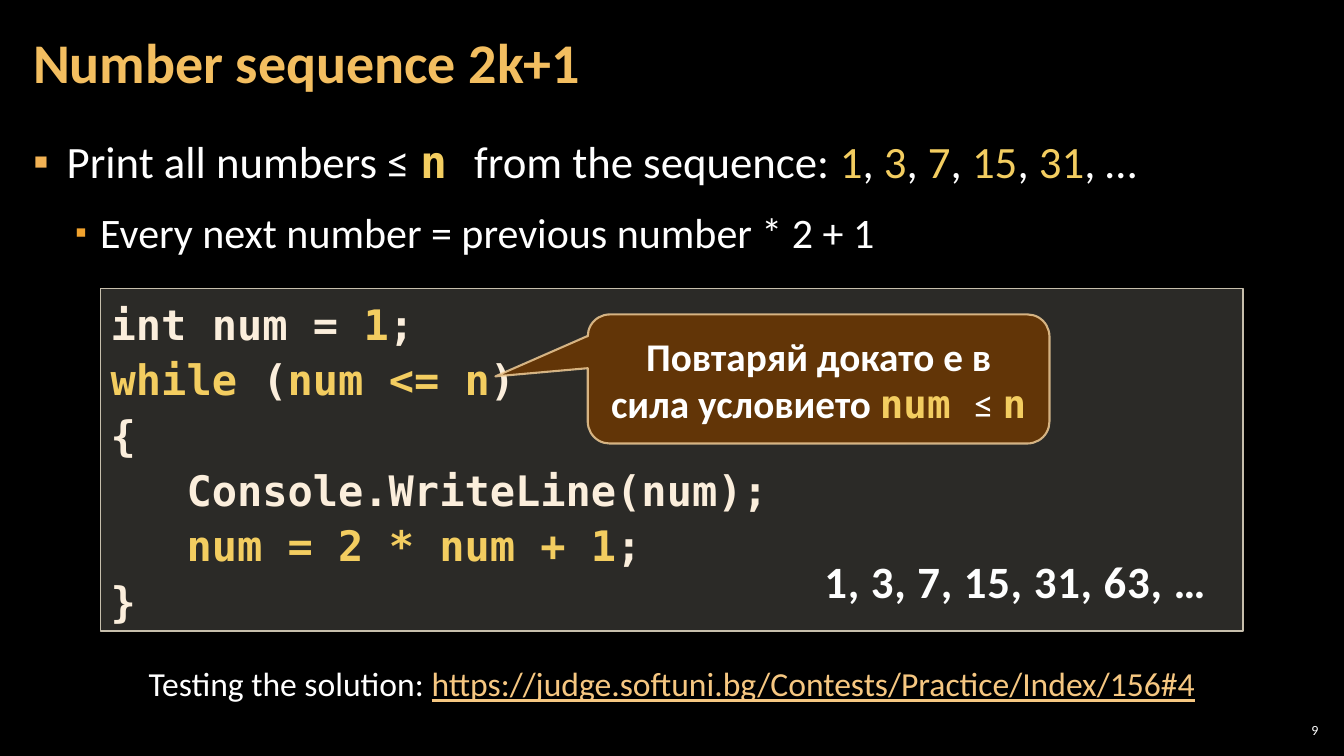
from lxml.etree import SubElement, Element
from pptx import Presentation
from pptx.dml.color import RGBColor
from pptx.enum.shapes import MSO_SHAPE
from pptx.enum.text import MSO_ANCHOR, MSO_AUTO_SIZE, PP_ALIGN
from pptx.oxml.ns import qn
from pptx.util import Pt

COLORS = {
    "black": "000000", "white": "FFFFFF", "gold": "F3CD60", "title": "F3BE60",
    "cream": "FBEEDC", "link": "F6C781", "bullet": "F2B254", "sub_bullet": "F0A22E",
    "code_fill": "D9D5C7", "code_line": "C7BFAC", "callout_fill": "663606",
    "callout_line": "F8D49E", "output": "FEFEFE", "outline": "F0A22E",
}
SANS, MONO = "Calibri", "DejaVu Sans Mono"
STYLES = {
    "text": dict(name=SANS, color="white", bold=False),
    "strong": dict(name=SANS, color="white", bold=True),
    "number": dict(name=SANS, color="gold", bold=False),
    "code": dict(name=MONO, color="cream", bold=True),
    "key": dict(name=MONO, color="gold", bold=True),
    "title": dict(name=SANS, color="title", bold=True),
    "link": dict(name=SANS, color="link", bold=False, underline=True),
    "output": dict(name=SANS, color="output", bold=True),
}

TITLE = [[("Number sequence 2k+1", "title")]]
SEQUENCE = ["1", "3", "7", "15", "31"]
TASK = [("Print all numbers ≤ ", "text"), ("n ", "key"), ("from the sequence: ", "text")]
for term in SEQUENCE:
    TASK += [(term, "number"), (", ", "text")]
TASK[-1] = (", …", "text")
RULE = [("Every next number = previous number * 2 + 1", "text")]
CODE = [
    [("int num = ", "code"), ("1", "key"), (";", "code")],
    [("while ", "key"), ("(", "code"), ("num <= n", "key"), (")", "code")],
    [("{", "code")],
    [("   Console.WriteLine(num);", "code")],
    [("   ", "code"), ("num = 2 * num + 1", "key"), (";", "code")],
    [("}", "code")],
]
CALLOUT = [[("Повтаряй докато е в сила условието ", "strong"), ("num ", "key"),
            ("≤ ", "text"), ("n", "key")]]
OUTPUT = [[("1, 3, 7, 15, 31, 63, …", "output")]]
TESTING = [[("Testing the solution: ", "text"),
            ("https://judge.softuni.bg/Contests/Practice/Index/156#4", "link")]]
NUMBER = [[("9", "text")]]

BOXES = {
    "title": (15.1, 2.9, 753.8, 87.1),
    "body": (15.1, 90.7, 929.5, 438.5),
    "code": (72, 205.9, 815.8, 244.8),
    "testing": (59.8, 470.2, 840.2, 36),
    "callout": (419.8, 224.6, 329.8, 92.2),
    "output": (581.8, 391.7, 290.2, 46.1),
    "number": (910.8, 514.1, 33.8, 15.1),
}
BULLETS = [
    dict(left=24, hang=24, color="bullet", size=100),
    dict(left=48, hang=18, color="sub_bullet", size=80),
]


def rgb(name):
    return RGBColor.from_string(COLORS[name])


def points(box):
    return [Pt(v) for v in BOXES[box]]


def place(sp, box):
    sp.left, sp.top, sp.width, sp.height = points(box)


def write(sp, lines, sizes, inset=(7.2, 3.6), anchor=MSO_ANCHOR.TOP, wrap=True, **para):
    tf = sp.text_frame
    frame = dict(auto_size=MSO_AUTO_SIZE.NONE, word_wrap=wrap, vertical_anchor=anchor,
                 margin_left=Pt(inset[0]), margin_right=Pt(inset[0]),
                 margin_top=Pt(inset[1]), margin_bottom=Pt(inset[1]))
    for key, value in frame.items():
        setattr(tf, key, value)
    for i, runs in enumerate(lines):
        p = tf.add_paragraph() if i else tf.paragraphs[0]
        for key, value in dict(dict(alignment=PP_ALIGN.LEFT), **para).items():
            setattr(p, key, value)
        for text, style in runs:
            r = p.add_run()
            r.text = text
            r.font.size = Pt(sizes[i % len(sizes)])
            for key, value in STYLES[style].items():
                if key == "color":
                    r.font.color.rgb = rgb(value)
                else:
                    setattr(r.font, key, value)


def solid(parent, color):
    fill = SubElement(parent, qn("a:solidFill"))
    return SubElement(fill, qn("a:srgbClr"), val=COLORS[color])


def set_alpha(color_format_parent, percent):
    clr = color_format_parent.find(qn("a:solidFill"))[0]
    SubElement(clr, qn("a:alpha"), val=str(percent * 1000))


def add_panel(kind, box, name, alpha, line_width):
    sp = slide.shapes.add_shape(kind, *points(box))
    sp.shadow.inherit = False
    sp.fill.solid()
    sp.fill.fore_color.rgb = rgb(name + "_fill")
    sp.line.color.rgb = rgb(name + "_line")
    sp.line.width = Pt(line_width)
    set_alpha(sp._element.spPr, alpha)
    return sp


def add_bullet(p, level):
    b = BULLETS[level]
    p.level = level
    pPr = p._p.get_or_add_pPr()
    pPr.set("marL", str(Pt(b["left"])))
    pPr.set("indent", str(-Pt(b["hang"])))
    clr = SubElement(pPr, qn("a:buClr"))
    SubElement(clr, qn("a:srgbClr"), val=COLORS[b["color"]])
    SubElement(pPr, qn("a:buSzPct"), val=str(b["size"] * 1000))
    SubElement(pPr, qn("a:buChar"), char="▪")


def decorate(r):
    rPr = r._r.get_or_add_rPr()
    rPr.set("spc", "50")
    ln = Element(qn("a:ln"), w=str(Pt(0.75)))
    solid(ln, "outline")
    rPr.insert(0, ln)
    effects = Element(qn("a:effectLst"))
    shadow = SubElement(effects, qn("a:outerShdw"), blurRad="0", dist=str(Pt(2)), dir="2700000")
    SubElement(shadow, qn("a:srgbClr"), val=COLORS["outline"])
    rPr.insert(2, effects)


prs = Presentation()
prs.slide_width, prs.slide_height = Pt(960), Pt(540)
slide = prs.slides.add_slide(prs.slide_layouts[1])
slide.background.fill.solid()
slide.background.fill.fore_color.rgb = rgb("black")

title, body = slide.placeholders
place(title, "title")
write(title, TITLE, [40], (8.5, 2.8), MSO_ANCHOR.MIDDLE, line_spacing=0.9)

place(body, "body")
write(body, [TASK, RULE], [32, 30], (8.5, 2.8), line_spacing=1.05,
      space_before=Pt(6), space_after=Pt(6))
for level, p in enumerate(body.text_frame.paragraphs):
    add_bullet(p, level)
body.text_frame.paragraphs[0].space_before = Pt(0)

code = add_panel(MSO_SHAPE.RECTANGLE, "code", "code", 20, 1)
write(code, CODE, [30], line_spacing=1.1)

testing = slide.shapes.add_textbox(*points("testing"))
write(testing, TESTING, [24], alignment=PP_ALIGN.CENTER)

callout = add_panel(MSO_SHAPE.ROUNDED_RECTANGULAR_CALLOUT, "callout", "callout", 95, 1.5)
for i, value in enumerate((-0.7, -0.02, 0.17)):
    callout.adjustments[i] = value
set_alpha(callout.line._get_or_add_ln(), 80)
write(callout, CALLOUT, [28], anchor=MSO_ANCHOR.MIDDLE, alignment=PP_ALIGN.CENTER)

output = slide.shapes.add_textbox(*points("output"))
write(output, OUTPUT, [32], wrap=False)
decorate(output.text_frame.paragraphs[0].runs[0])

number = slide.shapes.add_textbox(*points("number"))
write(number, NUMBER, [10], (2.8, 2.8), MSO_ANCHOR.MIDDLE, alignment=PP_ALIGN.RIGHT)

prs.save("out.pptx")
